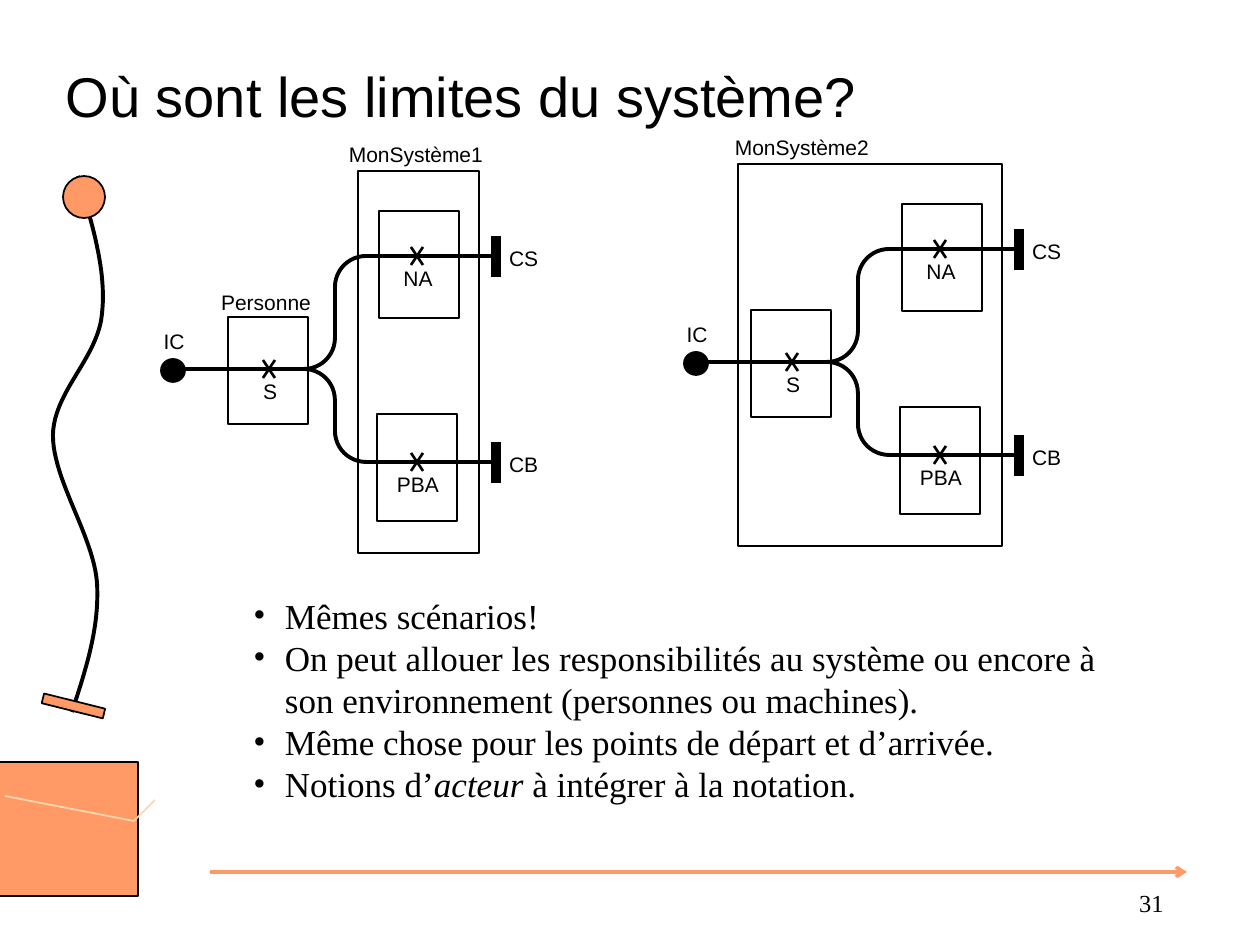
import pptx
import pptx.util
import pptx.dml.color
import pptx.enum.shapes
import pptx.enum.text
import pptx.oxml
import pptx.oxml.ns
from dataclasses import dataclass

SHAPE = pptx.enum.shapes.MSO_SHAPE
ALIGN = pptx.enum.text.PP_ALIGN
ANCHOR = pptx.enum.text.MSO_ANCHOR
SCALE = 914400 / 126


@dataclass(frozen=True)
class Theme:
    ink: str = "000000"
    accent: str = "FF9966"
    pale: str = "FFD7AF"
    sans: str = "Arial"
    serif: str = "Times New Roman"
    title: int = 32
    body: int = 20
    page: int = 14
    label: int = 12


THEME = Theme()


def px(n):
    return pptx.util.Emu(round(n * SCALE))


def rgb(code):
    return pptx.dml.color.RGBColor.from_string(code)


def paint(shape, fill, width, color=THEME.ink):
    shape.shadow.inherit = False
    if fill:
        shape.fill.solid()
        shape.fill.fore_color.rgb = rgb(fill)
    else:
        shape.fill.background()
    shape.line.color.rgb = rgb(color)
    shape.line.width = pptx.util.Pt(width)


def add_form(slide, kind, box, fill=None, width=0.75):
    shape = slide.shapes.add_shape(kind, *map(px, box))
    paint(shape, fill, width)
    return shape


def add_line(slide, start, end, width=2.25, color=THEME.ink, arrow=False):
    line = slide.shapes.add_connector(
        pptx.enum.shapes.MSO_CONNECTOR.STRAIGHT, *map(px, (*start, *end)))
    line.line.color.rgb = rgb(color)
    line.line.width = pptx.util.Pt(width)
    if arrow:
        tip = pptx.oxml.parse_xml(
            f'<a:tailEnd {pptx.oxml.ns.nsdecls("a")} type="arrow"/>')
        line.line._get_or_add_ln().append(tip)
    props = line._element.spPr
    props.append(pptx.oxml.parse_xml(
        f'<a:effectLst {pptx.oxml.ns.nsdecls("a")}/>'))


def add_arc(slide, left, top, size, start):
    """Draw a clockwise quarter circle from the start angle, in degrees."""
    arc = add_form(slide, SHAPE.ARC, (left, top, size, size), width=2.25)
    # Adjustments are scaled by 100000, angles by 60000 per degree.
    arc.adjustments[0] = start * 0.6
    arc.adjustments[1] = (start + 90) % 360 * 0.6


def bullet(para):
    props = para._p.get_or_add_pPr()
    props.set("marL", str(pptx.util.Inches(0.25)))
    props.set("indent", str(-pptx.util.Inches(0.25)))
    for tag in ('buFont {} typeface="Times New Roman"', 'buChar {} char="•"'):
        xml = tag.format(pptx.oxml.ns.nsdecls("a"))
        props.append(pptx.oxml.parse_xml(f"<a:{xml}/>"))


def write(frame, *paras, font=THEME.sans, size=THEME.label, align=ALIGN.LEFT,
          anchor=ANCHOR.TOP, wrap=True, inset=True, bullets=False):
    """Fill a frame; a paragraph is a tuple of runs, every second one italic."""
    frame.word_wrap = wrap
    frame.auto_size = pptx.enum.text.MSO_AUTO_SIZE.NONE
    frame.vertical_anchor = anchor
    frame.margin_left = frame.margin_right = pptx.util.Inches(0.1 * inset)
    frame.margin_top = frame.margin_bottom = pptx.util.Inches(0.05 * inset)
    for i, runs in enumerate(paras):
        para = frame.add_paragraph() if i else frame.paragraphs[0]
        para.alignment = align
        if bullets:
            bullet(para)
        for j, text in enumerate(runs):
            run = para.add_run()
            run.text = text
            run.font.name = font
            run.font.size = pptx.util.Pt(size)
            run.font.italic = j % 2 == 1
            run.font.color.rgb = rgb(THEME.ink)


def add_text(slide, box, *paras, **style):
    write(slide.shapes.add_textbox(*map(px, box)).text_frame, *paras, **style)


def add_label(slide, text, x, top, width, align=ALIGN.CENTER):
    """Place a small label; x is its middle, or its left side if so aligned."""
    left = x if align == ALIGN.LEFT else x - width / 2
    add_text(slide, (left, top, width, 25), (text,),
             align=align, wrap=False, inset=False)


def add_step(slide, text, x, y, width):
    """Draw a cross on the route, with its name below."""
    for rise in (-9, 9):
        add_line(slide, (x - 6, y + rise), (x + 6, y - rise), 1.5)
    add_label(slide, text, x + 1, y + 10, width)


def add_branch(slide, step, stop, x, y, width):
    """Draw a branch from x to its stop bar."""
    add_line(slide, (x, y), (x + 133, y), 2)
    add_line(slide, (x + 130, y - 20), (x + 130, y + 21), 6)
    add_label(slide, stop, x + 143, y - 10, 29, ALIGN.LEFT)
    add_step(slide, step, x + 51, y, width)


def add_map(slide, dx, dy):
    """Draw the scenario map, moved by dx and dy."""
    size, half = 62, 31
    trunk, mid = 335 + dx, 369 + dy
    high, low = 256 + dy, 462 + dy
    add_form(slide, SHAPE.OVAL, (161 + dx, mid - 10, 24, 23), THEME.ink, 1)
    add_label(slide, "IC", 174 + dx, mid - 40, 21)
    add_line(slide, (181 + dx, mid), (trunk - half, mid), 2)
    add_step(slide, "S", 269 + dx, mid, 20)
    add_arc(slide, trunk - size, mid, size, 270)
    add_arc(slide, trunk - size, mid - size, size, 0)
    add_arc(slide, trunk, low - size, size, 90)
    add_arc(slide, trunk, high, size, 180)
    add_line(slide, (trunk, high + half), (trunk, mid - half))
    add_line(slide, (trunk, mid + half), (trunk, low - half))
    add_branch(slide, "PBA", "CB", trunk + half, low, 48)
    add_branch(slide, "NA", "CS", trunk + half, high, 35)
    for left, top in ((228, 317), (379, 211), (377, 414)):
        add_form(slide, SHAPE.RECTANGLE, (left + dx, top + dy, 80, 107))


def add_system(slide, name, box, x):
    add_form(slide, SHAPE.RECTANGLE, box)
    add_label(slide, name, x, box[1] - 29, 140)


def add_curve(slide, start, *parts):
    """Draw a line along cubic curves, each given by three points."""
    dots, first, steps = [], start, 24
    for a, b, end in parts:
        for k in range(1, steps + 1):
            t = k / steps
            u = 1 - t
            dots.append(tuple(
                px(u**3 * p + 3 * u * u * t * q + 3 * u * t * t * r + t**3 * s)
                for p, q, r, s in zip(first, a, b, end)))
        first = end
    form = slide.shapes.build_freeform(*map(px, start))
    form.add_line_segments(dots, close=False)
    paint(form.convert_to_shape(), None, 2.25)


def add_decor(slide):
    add_form(slide, SHAPE.RECTANGLE, (-4, 762, 142, 134), THEME.accent)
    add_line(slide, (5, 796), (134, 821), 1, THEME.pale)
    add_line(slide, (134, 821), (155, 800), 1, THEME.pale)
    add_curve(slide, (78, 176),
              ((92, 223), (107, 271), (102, 314)),
              ((98, 358), (54, 391), (53, 435)),
              ((53, 480), (93, 535), (97, 582)),
              ((100, 627), (86, 669), (72, 712)))
    foot = add_form(slide, SHAPE.RECTANGLE, (42, 701, 63, 10), THEME.accent, 1)
    foot.rotation = 14
    add_form(slide, SHAPE.OVAL, (63, 176, 42, 42), THEME.accent, 1)
    add_line(slide, (210, 872), (1187, 872), 2, THEME.accent, arrow=True)


def add_title(slide, text):
    title = slide.shapes.title
    title.left, title.top, title.width, title.height = map(
        px, (53, 32, 1134, 126))
    write(title.text_frame, (text,), size=THEME.title, anchor=ANCHOR.MIDDLE)


def main():
    deck = pptx.Presentation()
    deck.slide_width, deck.slide_height = px(1260), px(945)
    slide = deck.slides.add_slide(deck.slide_layouts[5])
    add_title(slide, "Où sont les limites du système?")
    add_decor(slide)
    add_map(slide, 0, 0)
    add_system(slide, "MonSystème1", (358, 171, 121, 382), 416)
    add_label(slide, "Personne", 266, 290, 96)
    add_map(slide, 523, -7)
    add_system(slide, "MonSystème2", (738, 164, 264, 382), 802)
    add_text(slide, (241, 588, 912, 223),
             ("Mêmes scénarios!",),
             ("On peut allouer les responsibilités au système ou encore à "
              "son environnement (personnes ou machines).",),
             ("Même chose pour les points de départ et d’arrivée.",),
             ("Notions d’", "acteur", " à intégrer à la notation."),
             font=THEME.serif, size=THEME.body, bullets=True)
    add_text(slide, (1113, 882, 63, 63), ("31",),
             font=THEME.serif, size=THEME.page, align=ALIGN.RIGHT)
    deck.save("out.pptx")


if __name__ == "__main__":
    main()
